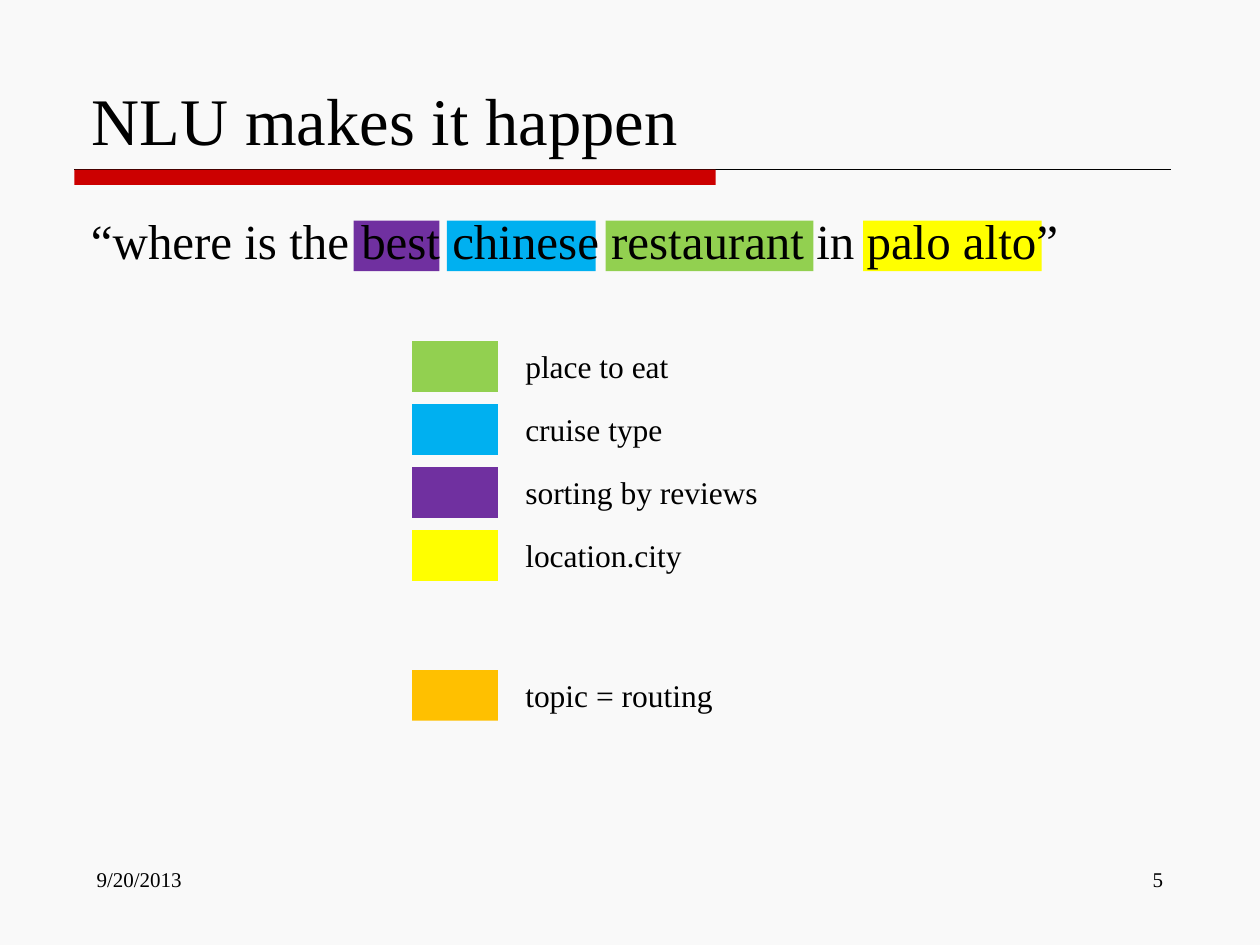
import dataclasses

import pptx
import pptx.dml.color
import pptx.enum.shapes
import pptx.enum.text
import pptx.oxml.ns
import pptx.util
from lxml import etree

Cm = pptx.util.Cm


@dataclasses.dataclass(frozen=True)
class Theme:
    font: str = "Times New Roman"
    background: str = "F9F9F9"
    ink: str = "000000"
    accent: str = "CC0000"
    place: str = "92D050"
    cuisine: str = "00B0F0"
    sorting: str = "7030A0"
    city: str = "FFFF00"
    topic: str = "FFC000"
    title_size: int = 38
    query_size: int = 28
    legend_size: int = 18
    footer_size: int = 12


THEME = Theme()
BAND_HEIGHT = 1.02
HIGHLIGHT_TOP = 4.45
LEGEND_LEFT, LEGEND_TOP, LEGEND_STEP = 8.31, 6.88, 1.27
SWATCH_WIDTH, LABEL_LEFT = 1.73, 10.34


def rgb(color):
    return pptx.dml.color.RGBColor.from_string(color)


def write(holder, text, size, color=THEME.ink, align="LEFT", anchor="TOP", wrap=True):
    frame = holder.text_frame
    frame.text = text
    frame.word_wrap = wrap
    frame.auto_size = pptx.enum.text.MSO_AUTO_SIZE.NONE
    frame.vertical_anchor = getattr(pptx.enum.text.MSO_ANCHOR, anchor)
    paragraph = frame.paragraphs[0]
    paragraph.alignment = getattr(pptx.enum.text.PP_ALIGN, align)
    font = paragraph.runs[0].font
    font.name, font.size = THEME.font, pptx.util.Pt(size)
    font.color.rgb = rgb(color)
    return paragraph


def add_label(slide, text, left, top, width, height, **style):
    box = slide.shapes.add_textbox(Cm(left), Cm(top), Cm(width), Cm(height))
    write(box, text, **style)


def add_block(slide, color, left, top, width, height=BAND_HEIGHT):
    block = slide.shapes.add_shape(
        pptx.enum.shapes.MSO_SHAPE.RECTANGLE, Cm(left), Cm(top), Cm(width), Cm(height))
    block.shadow.inherit = False
    block.fill.solid()
    block.fill.fore_color.rgb = rgb(color)
    block.line.fill.background()


def add_rule(slide, left, top, width):
    rule = slide.shapes.add_connector(
        pptx.enum.shapes.MSO_CONNECTOR.STRAIGHT, Cm(left), Cm(top), Cm(left + width), Cm(top))
    rule.line.color.rgb = rgb(THEME.ink)
    rule.line.width = pptx.util.Pt(0.75)
    properties = rule.element.find(pptx.oxml.ns.qn("p:spPr"))
    etree.SubElement(properties, pptx.oxml.ns.qn("a:effectLst"))


def fill_placeholder(holder, text, left, top, width, height, **style):
    holder.left, holder.top = Cm(left), Cm(top)
    holder.width, holder.height = Cm(width), Cm(height)
    holder.element.getparent().append(holder.element)
    return write(holder, text, **style)


def remove_bullet(paragraph):
    properties = paragraph._p.get_or_add_pPr()
    properties.set("marL", "0")
    properties.set("indent", "0")
    etree.SubElement(properties, pptx.oxml.ns.qn("a:buNone"))


def add_legend_row(slide, color, text, top):
    add_block(slide, color, LEGEND_LEFT, top, SWATCH_WIDTH)
    add_label(slide, text, LABEL_LEFT, top, 5.5, BAND_HEIGHT,
              size=THEME.legend_size, wrap=False)


def main():
    """Build the slide on how NLU labels the parts of a spoken query."""
    deck = pptx.Presentation()
    deck.slide_width, deck.slide_height = Cm(25.4), Cm(19.05)
    slide = deck.slides.add_slide(deck.slide_layouts[1])
    slide.background.fill.solid()
    slide.background.fill.fore_color.rgb = rgb(THEME.background)

    add_rule(slide, 1.5, 3.42, 22.1)
    add_block(slide, THEME.accent, 1.5, 3.42, 12.93, 0.31)
    for color, left, width in (
        (THEME.place, 12.21, 4.19),
        (THEME.city, 17.4, 3.6),
        (THEME.cuisine, 9.01, 3),
        (THEME.sorting, 7.13, SWATCH_WIDTH),
    ):
        add_block(slide, color, left, HIGHLIGHT_TOP, width)

    fill_placeholder(slide.shapes.title, "NLU makes it happen", 1.6, 0.84, 22.22, 2.49,
                     size=THEME.title_size, anchor="BOTTOM")
    query = fill_placeholder(
        slide.placeholders[1], "“where is the best chinese restaurant in palo alto”",
        1.58, 4.11, 22.22, 13, size=THEME.query_size)
    remove_bullet(query)

    for row, (color, text) in enumerate((
        (THEME.place, "place to eat"),
        (THEME.cuisine, "cruise type"),
        (THEME.sorting, "sorting by reviews"),
        (THEME.city, "location.city"),
    )):
        add_legend_row(slide, color, text, LEGEND_TOP + row * LEGEND_STEP)
    add_legend_row(slide, THEME.topic, "topic = routing", 13.51)

    for text, left, align in (("9/20/2013", 1.7, "LEFT"), ("5", 18.2, "RIGHT")):
        add_label(slide, text, left, 17.35, 5.5, 1.32, size=THEME.footer_size, align=align)

    deck.save("out.pptx")


main()
